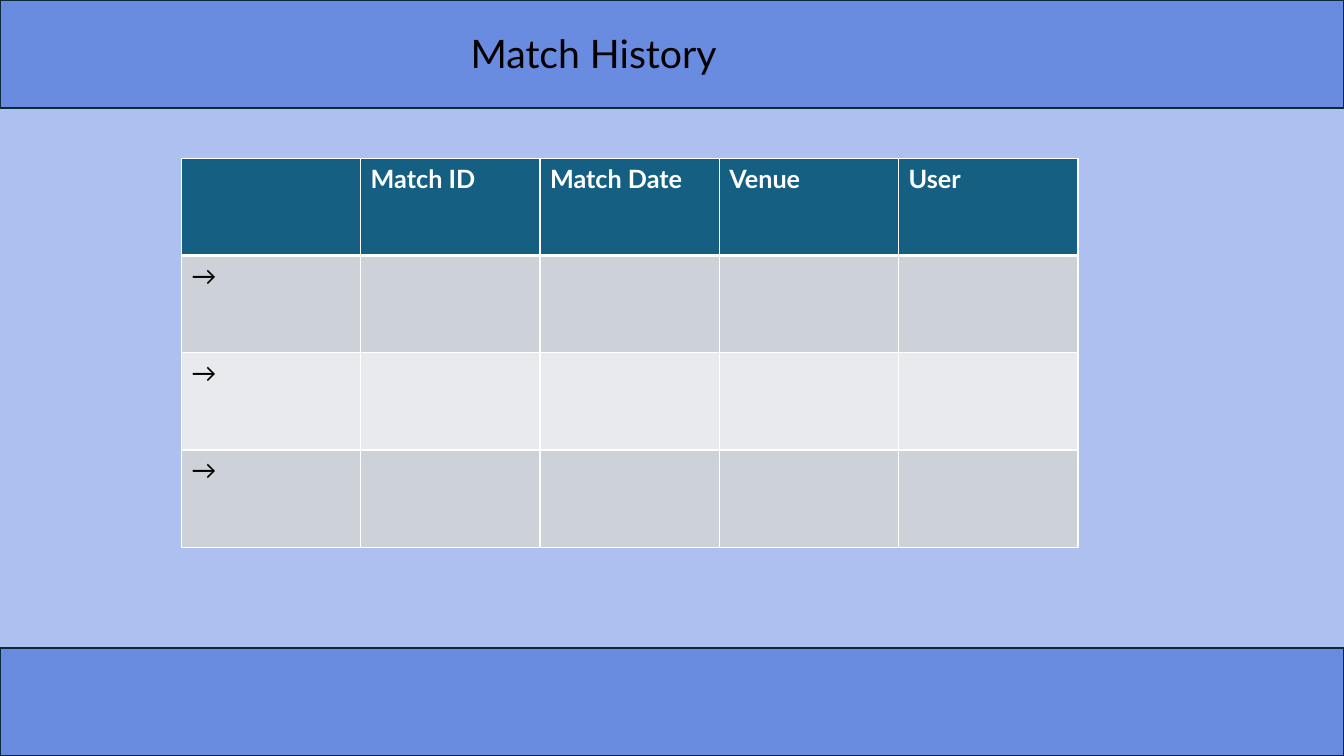
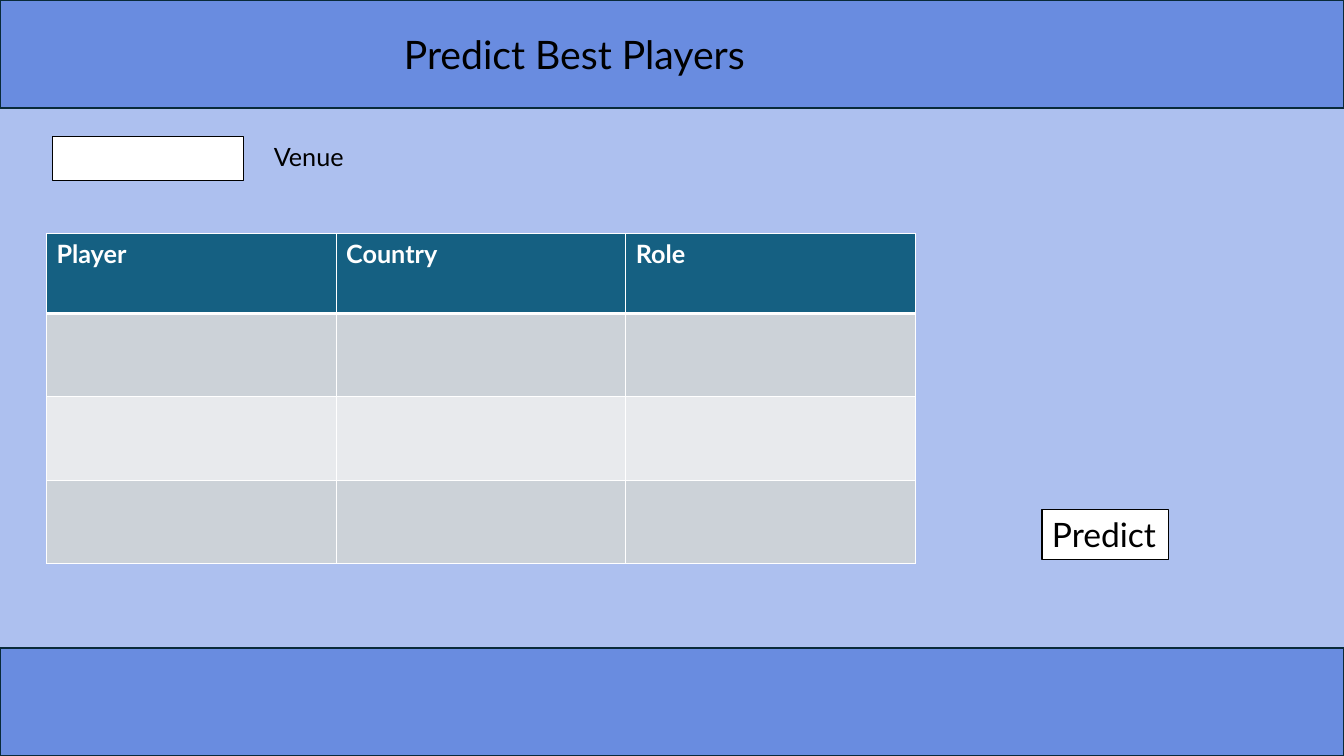
from dataclasses import dataclass

from lxml import etree
from pptx import Presentation
from pptx.dml.color import RGBColor
from pptx.enum.shapes import MSO_SHAPE
from pptx.enum.text import MSO_ANCHOR, PP_ALIGN
from pptx.oxml.ns import qn
from pptx.util import Cm, Pt

RECTANGLE = MSO_SHAPE.RECTANGLE
LEFT = PP_ALIGN.LEFT
TOP = MSO_ANCHOR.TOP


@dataclass(frozen=True)
class Theme:
    font: str = "Lato"
    background: str = "ADC0EF"
    band: str = "698CE0"
    band_line: str = "092A39"
    header: str = "156082"
    odd_row: str = "CCD2D8"
    even_row: str = "E8EAED"
    white: str = "FFFFFF"
    black: str = "000000"
    title_size: int = 28
    button_size: int = 24
    body_size: int = 18


THEME = Theme()
WIDTH, HEIGHT, BAND_HEIGHT = 33.87, 19.05, 2.72


def write(frame, text, size, color=THEME.black, bold=False):
    paragraph = frame.paragraphs[0]
    paragraph.alignment = LEFT
    run = paragraph.add_run()
    run.text = text
    run.font.name = THEME.font
    run.font.size = Pt(size)
    run.font.bold = bold
    run.font.color.rgb = RGBColor.from_string(color)


def add_box(slide, left, top, width, height, fill, line, line_width):
    box = slide.shapes.add_shape(RECTANGLE, Cm(left), Cm(top), Cm(width), Cm(height))
    box.shadow.inherit = False
    box.fill.solid()
    box.fill.fore_color.rgb = RGBColor.from_string(fill)
    box.line.color.rgb = RGBColor.from_string(line)
    box.line.width = Pt(line_width)
    return box


pages = [
    {
        "title": "Match History",
        "title_at": (11.61, 0.61),
        "table_at": (4.57, 3.99),
        "column_width": 4.52,
        "row_heights": [2.45] * 4,
        "rows": [["", "Match ID", "Match Date", "Venue", "User"]]
        + [["→", "", "", "", ""]] * 3,
    },
    {
        "title": "Predict Best Players",
        "title_at": (9.93, 0.64),
        "table_at": (1.17, 5.89),
        "column_width": 7.3,
        "row_heights": [2.01] + [2.1] * 3,
        "rows": [["Player", "Country", "Role"]] + [["", "", ""]] * 3,
    },
]

prs = Presentation()
prs.slide_width, prs.slide_height = Cm(WIDTH), Cm(HEIGHT)
blank = prs.slide_layouts[6]

# Shared background
background = prs.slide_master.background.fill
background.solid()
background.fore_color.rgb = RGBColor.from_string(THEME.background)

for page in pages:
    slide = prs.slides.add_slide(blank)

    # Top and bottom bands
    for band_top in (0, HEIGHT - BAND_HEIGHT):
        add_box(slide, 0, band_top, WIDTH, BAND_HEIGHT, THEME.band, THEME.band_line, 1.5)

    # Title
    title_left, title_top = page["title_at"]
    title = slide.shapes.add_textbox(Cm(title_left), Cm(title_top), Cm(21.29), Cm(1.45))
    title.text_frame.word_wrap = True
    write(title.text_frame, page["title"], THEME.title_size)

    # Table grid
    rows, heights = page["rows"], page["row_heights"]
    column_count = len(rows[0])
    table_left, table_top = page["table_at"]
    table = slide.shapes.add_table(
        len(rows), column_count, Cm(table_left), Cm(table_top),
        Cm(page["column_width"] * column_count), Cm(sum(heights)),
    ).table
    table.horz_banding = False
    for column in table.columns:
        column.width = Cm(page["column_width"])

    # Table cells
    for row_index, (labels, height) in enumerate(zip(rows, heights)):
        table.rows[row_index].height = Cm(height)
        is_header = row_index == 0
        if is_header:
            fill, color = THEME.header, THEME.white
        else:
            fill = THEME.odd_row if row_index % 2 else THEME.even_row
            color = THEME.black
        borders = {
            "a:lnL": 1,
            "a:lnR": 1,
            "a:lnT": 3 if row_index == 1 else 1,
            "a:lnB": 3 if is_header else 1,
        }
        for column_index, label in enumerate(labels):
            cell = table.cell(row_index, column_index)
            cell.fill.solid()
            cell.fill.fore_color.rgb = RGBColor.from_string(fill)
            if label:
                write(cell.text_frame, label, THEME.body_size, color, is_header)
            properties = cell._tc.get_or_add_tcPr()
            for position, (edge, points) in enumerate(borders.items()):
                border = etree.Element(qn(edge), w=str(Pt(points)))
                stroke = etree.SubElement(border, qn("a:solidFill"))
                etree.SubElement(stroke, qn("a:srgbClr"), val=THEME.white)
                properties.insert(position, border)

# Venue field and its label, on the prediction slide
add_box(slide, 1.32, 3.43, 4.83, 1.12, THEME.white, THEME.black, 0.75)
venue = slide.shapes.add_textbox(Cm(6.65), Cm(3.43), Cm(3.71), Cm(1.02))
venue.text_frame.word_wrap = True
write(venue.text_frame, "Venue", THEME.body_size)

# Predict button
button = add_box(slide, 26.26, 12.83, 3.2, 1.27, THEME.white, THEME.black, 0.75)
button.text_frame.word_wrap = False
button.text_frame.vertical_anchor = TOP
write(button.text_frame, "Predict", THEME.button_size)

prs.save("out.pptx")
